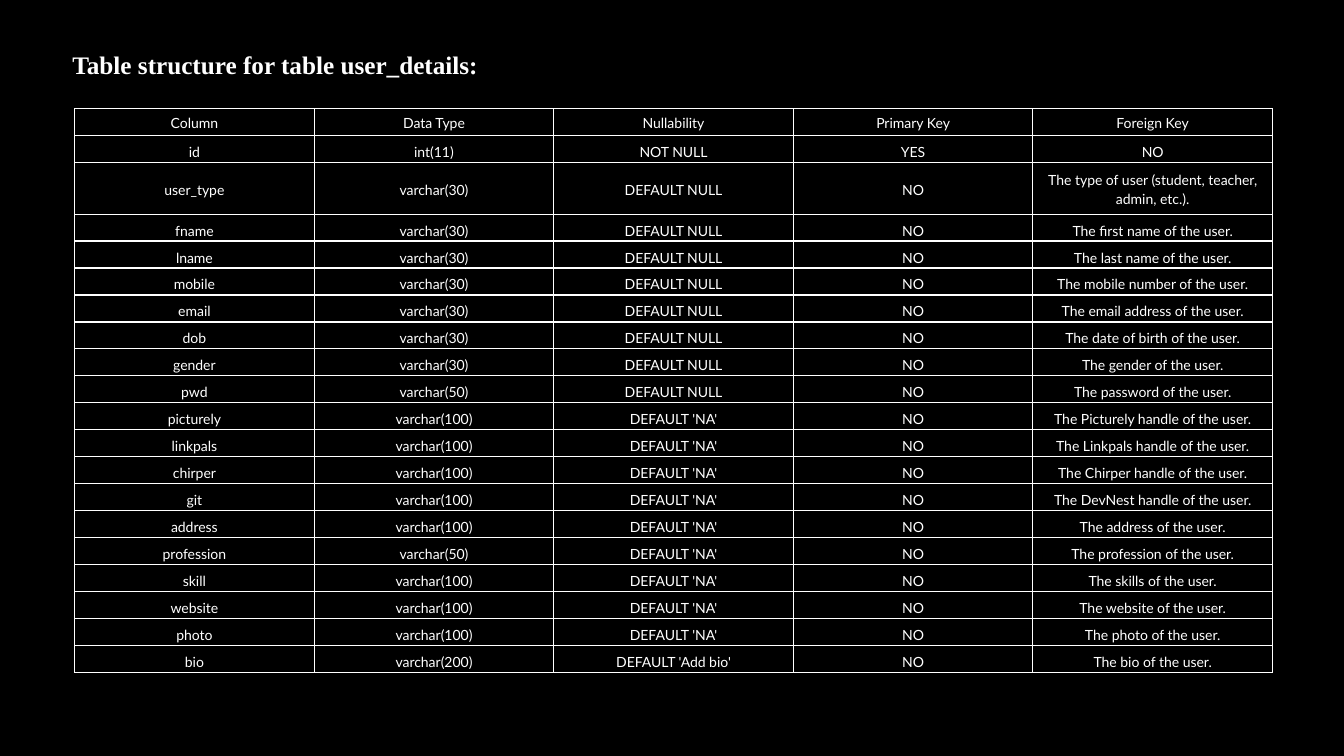
"""Build a slide that documents the columns of the user_details table."""
import pptx
import pptx.dml.color
import pptx.enum.text
import pptx.oxml
import pptx.oxml.ns
import pptx.util
from pptx.util import Inches

TITLE = "Table structure for table user_details:"
HEADER = ("Column", "Data Type", "Nullability", "Primary Key", "Foreign Key")
NULL, NA = "DEFAULT NULL", "DEFAULT 'NA'"
FIELDS = [
    ("id", "int(11)", "NOT NULL", "YES", "NO"),
    ("user_type", "varchar(30)", NULL, "NO", "The type of user (student, teacher, admin, etc.)."),
    ("fname", "varchar(30)", NULL, "NO", "The first name of the user."),
    ("lname", "varchar(30)", NULL, "NO", "The last name of the user."),
    ("mobile", "varchar(30)", NULL, "NO", "The mobile number of the user."),
    ("email", "varchar(30)", NULL, "NO", "The email address of the user."),
    ("dob", "varchar(30)", NULL, "NO", "The date of birth of the user."),
    ("gender", "varchar(30)", NULL, "NO", "The gender of the user."),
    ("pwd", "varchar(50)", NULL, "NO", "The password of the user."),
    ("picturely", "varchar(100)", NA, "NO", "The Picturely handle of the user."),
    ("linkpals", "varchar(100)", NA, "NO", "The Linkpals handle of the user."),
    ("chirper", "varchar(100)", NA, "NO", "The Chirper handle of the user."),
    ("git", "varchar(100)", NA, "NO", "The DevNest handle of the user."),
    ("address", "varchar(100)", NA, "NO", "The address of the user."),
    ("profession", "varchar(50)", NA, "NO", "The profession of the user."),
    ("skill", "varchar(100)", NA, "NO", "The skills of the user."),
    ("website", "varchar(100)", NA, "NO", "The website of the user."),
    ("photo", "varchar(100)", NA, "NO", "The photo of the user."),
    ("bio", "varchar(200)", "DEFAULT 'Add bio'", "NO", "The bio of the user."),
]
ROWS = [HEADER] + FIELDS
TALL_ROW = 2
MIDDLE_ROWS = (0, TALL_ROW)
LEFT, TOP, WIDTH, HEIGHT = 0.74, 1.08, 11.88, 5.59
TALL_HEIGHT = 0.51
ROW_HEIGHT = (HEIGHT - TALL_HEIGHT) / (len(ROWS) - 1)
WHITE, BLACK = "FFFFFF", "000000"


def color(value):
    return pptx.dml.color.RGBColor.from_string(value)


def write(frame, text, font="Lato", size=10, bold=False, align=None, spacing=None):
    para = frame.paragraphs[0]
    para.alignment = align
    para.line_spacing = spacing
    span = para.add_run()
    span.text = text
    span.font.name = font
    span.font.size = pptx.util.Pt(size)
    span.font.bold = bold
    span.font.color.rgb = color(WHITE)


def outline(cell):
    properties = cell._tc.get_or_add_tcPr()
    for place, side in enumerate("LRTB"):
        properties.insert(place, pptx.oxml.parse_xml(
            f'<a:ln{side} {pptx.oxml.ns.nsdecls("a")} w="{pptx.util.Pt(1)}">'
            f'<a:solidFill><a:srgbClr val="{WHITE}"/></a:solidFill></a:ln{side}>'))


def add_title(page):
    box = page.shapes.add_textbox(Inches(0.62), Inches(0.44), Inches(7.16), Inches(0.4))
    box.text_frame.word_wrap = True
    box.text_frame.auto_size = pptx.enum.text.MSO_AUTO_SIZE.SHAPE_TO_FIT_TEXT
    write(box.text_frame, TITLE, font="Times New Roman", size=18, bold=True)


def add_structure(page):
    table = page.shapes.add_table(len(ROWS), len(HEADER), Inches(LEFT), Inches(TOP),
                                  Inches(WIDTH), Inches(HEIGHT)).table
    table.first_row = table.horz_banding = False
    for column in table.columns:
        column.width = Inches(WIDTH / len(HEADER))
    anchors = pptx.enum.text.MSO_ANCHOR
    for index, values in enumerate(ROWS):
        table.rows[index].height = Inches(TALL_HEIGHT if index == TALL_ROW else ROW_HEIGHT)
        for cell, text in zip(table.rows[index].cells, values):
            cell.margin_left = cell.margin_right = Inches(0.03)
            cell.margin_top = cell.margin_bottom = Inches(0.02)
            cell.vertical_anchor = anchors.MIDDLE if index in MIDDLE_ROWS else anchors.BOTTOM
            cell.fill.background()
            outline(cell)
            write(cell.text_frame, text, align=pptx.enum.text.PP_ALIGN.CENTER, spacing=1.15)


def main():
    deck = pptx.Presentation()
    deck.slide_width, deck.slide_height = Inches(13.33), Inches(7.5)
    page = deck.slides.add_slide(deck.slide_layouts[6])
    page.background.fill.solid()
    page.background.fill.fore_color.rgb = color(BLACK)
    add_title(page)
    add_structure(page)
    deck.save("out.pptx")


if __name__ == "__main__":
    main()
